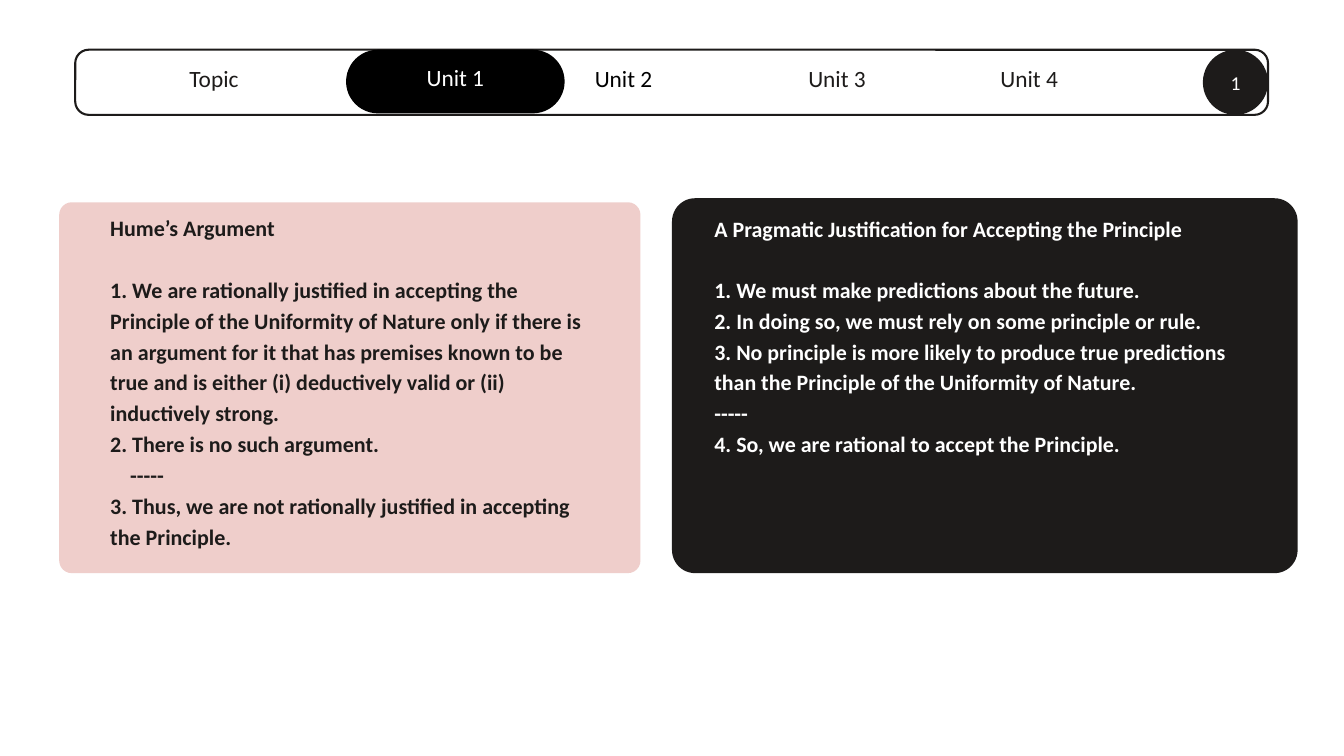
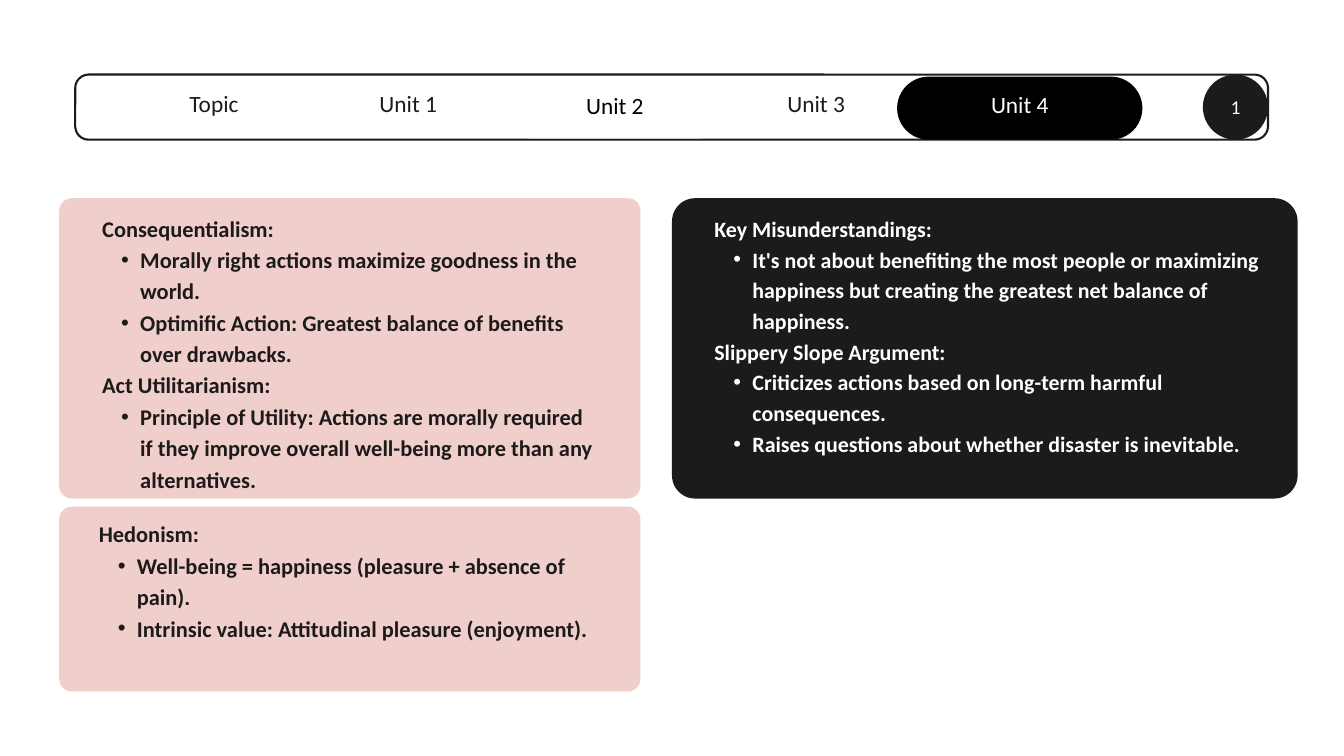
from typing import NamedTuple

from lxml.etree import SubElement
from pptx import Presentation
from pptx.dml.color import RGBColor
from pptx.enum.shapes import MSO_SHAPE
from pptx.enum.text import MSO_ANCHOR, PP_ALIGN
from pptx.oxml.ns import qn
from pptx.util import Pt

COLORS = {"ink": "1D1B1A", "black": "000000", "white": "FFFFFF", "pink": "EFCECB"}
FONT = "Calibri"
LINE_RATIO = 1.4
LABEL_RISE = 14.4  # tab labels sit in a box that starts this far above the pill


class Box(NamedTuple):
    left: float
    top: float
    width: float
    height: float

    def inside(self, left, top, width, height):
        """Box whose left and top are measured from this box's corner."""
        return Box(self.left + left, self.top + top, width, height)

    def points(self):
        return [Pt(value) for value in self]


class Tab(NamedTuple):
    label: str
    left: float
    top: float = 5.76
    width: float = 229.7
    height: float = 58.8
    fill: str = "white"
    color: str = "ink"


class CardStyle(NamedTuple):
    fill: str
    color: str
    radius: float


PINK_CARD = CardStyle("pink", "ink", 13.5)
DARK_CARD = CardStyle("ink", "white", 24.8)


def rgb(name):
    return RGBColor.from_string(COLORS[name])


def add_filled(page, kind, box, fill, radius=None, outline=None):
    shape = page.shapes.add_shape(kind, *box.points())
    shape.shadow.inherit = False
    shape.fill.solid()
    shape.fill.fore_color.rgb = rgb(fill)
    if radius is not None:
        shape.adjustments[0] = radius / min(box.width, box.height)
    if outline:
        shape.line.color.rgb = rgb(outline)
        shape.line.width = Pt(2.25)
    else:
        shape.line.fill.background()


def add_text_frame(page, box, inset=0):
    frame = page.shapes.add_textbox(*box.points()).text_frame
    frame.word_wrap = True
    frame.margin_left = frame.margin_right = Pt(inset)
    frame.margin_top = frame.margin_bottom = Pt(inset)
    return frame


def style_paragraph(para, size, color, bold=False):
    para.line_spacing = Pt(round(size * LINE_RATIO, 2))
    para.font.name = FONT
    para.font.size = Pt(size)
    para.font.bold = bold
    para.font.color.rgb = rgb(color)


def add_label(page, box, text, size, color, inset):
    frame = add_text_frame(page, box, inset)
    frame.vertical_anchor = MSO_ANCHOR.MIDDLE
    para = frame.paragraphs[0]
    para.text = text
    para.alignment = PP_ALIGN.CENTER
    style_paragraph(para, size, color)


def indent(para, left, first=0):
    properties = para._p.get_or_add_pPr()
    properties.set("marL", str(Pt(left)))
    properties.set("indent", str(Pt(first)))
    return properties


def make_bullet(para):
    para.level = 1
    properties = indent(para, 40.8, -20.4)
    SubElement(properties, qn("a:buFont"), typeface="Arial")
    SubElement(properties, qn("a:buChar"), char="•")


def add_navigation(page, box, tabs):
    """Outlined bar with one pill per tab and a numbered disc at its right end."""
    add_filled(page, MSO_SHAPE.ROUNDED_RECTANGLE, box, "white", 14.4, "ink")
    for tab in tabs:
        pill = box.inside(tab.left, tab.top, tab.width, tab.height)
        add_filled(page, MSO_SHAPE.ROUNDED_RECTANGLE, pill, tab.fill, tab.height / 2)
        label = pill.inside(0, -LABEL_RISE, tab.width, tab.height + LABEL_RISE)
        add_label(page, label, tab.label, 25, tab.color, 4.3)
    disc = box.inside(box.width - box.height, 0, box.height, box.height)
    add_filled(page, MSO_SHAPE.OVAL, disc, "ink")
    add_label(page, disc.inside(6.5, 2.2, 56.9, 61.2), "1", 21, "white", 5.8)


def add_card(page, box, style, text_area, size, lines):
    """Rounded card; each line is (kind, text) with kind title, plain, rule or bullet."""
    add_filled(page, MSO_SHAPE.ROUNDED_RECTANGLE, box, style.fill, style.radius)
    frame = add_text_frame(page, box.inside(*text_area))
    for index, (kind, text) in enumerate(lines):
        para = frame.add_paragraph() if index else frame.paragraphs[0]
        para.text = text
        if kind == "bullet":
            make_bullet(para)
        elif kind == "rule":
            indent(para, 21.4)
        elif kind == "title":
            para.space_after = Pt(size * LINE_RATIO)
        style_paragraph(para, size, style.color, bold=True)


def add_page(deck):
    page = deck.slides.add_slide(deck.slide_layouts[6])
    page.background.fill.solid()
    page.background.fill.fore_color.rgb = rgb("white")
    return page


def add_induction_slide(deck):
    page = add_page(deck)
    add_card(page, Box(63.4, 216.7, 622.8, 397.4), PINK_CARD, (54.7, 8.6, 521.3, 388.8), 23.6, [
        ("title", "Hume’s Argument"),
        ("plain", "1. We are rationally justified in accepting the Principle of the "
                  "Uniformity of Nature only if there is an argument for it that has "
                  "premises known to be true and is either (i) deductively valid or "
                  "(ii) inductively strong."),
        ("plain", "2. There is no such argument."),
        ("rule", "-----"),
        ("plain", "3. Thus, we are not rationally justified in accepting the Principle."),
    ])
    add_card(page, Box(720, 212.4, 670.3, 401.7), DARK_CARD, (45.4, 13.7, 593.3, 386.6), 23.5, [
        ("title", "A Pragmatic Justification for Accepting the Principle"),
        ("plain", "1. We must make predictions about the future."),
        ("plain", "2. In doing so, we must rely on some principle or rule."),
        ("plain", "3. No principle is more likely to produce true predictions than "
                  "the Principle of the Uniformity of Nature."),
        ("plain", "-----"),
        ("plain", "4. So, we are rational to accept the Principle."),
    ])
    add_navigation(page, Box(80.6, 53.3, 1278, 69.8), [
        Tab("Unit 3", 701.3),
        Tab("Unit 2", 479.5, 2.9, 216, 64.4, color="black"),
        Tab("Unit 1", 290.2, 0, 234.2, 68.2, "black", "white"),
        Tab("Topic", 33.8),
        Tab("Unit 4", 907.2),
    ])


def add_utilitarianism_slide(deck):
    page = add_page(deck)
    add_card(page, Box(63.4, 212.4, 622.8, 321.8), PINK_CARD, (46.1, 13, 529.9, 329), 24, [
        ("plain", "Consequentialism:"),
        ("bullet", "Morally right actions maximize goodness in the world."),
        ("bullet", "Optimific Action: Greatest balance of benefits over drawbacks."),
        ("plain", "Act Utilitarianism:"),
        ("bullet", "Principle of Utility: Actions are morally required if they improve "
                   "overall well-being more than any alternatives."),
    ])
    add_card(page, Box(63.4, 542.9, 622.8, 198), PINK_CARD, (42.5, 10.1, 529.9, 197.3), 24, [
        ("plain", "Hedonism:"),
        ("bullet", "Well-being = happiness (pleasure + absence of pain)."),
        ("bullet", "Intrinsic value: Attitudinal pleasure (enjoyment)."),
    ])
    add_card(page, Box(720, 212.4, 670.3, 321.8), DARK_CARD, (45.4, 13.7, 593.3, 321.8), 23.5, [
        ("plain", "Key Misunderstandings:"),
        ("bullet", "It's not about benefiting the most people or maximizing happiness "
                   "but creating the greatest net balance of happiness."),
        ("plain", "Slippery Slope Argument:"),
        ("bullet", "Criticizes actions based on long-term harmful consequences."),
        ("bullet", "Raises questions about whether disaster is inevitable."),
    ])
    add_navigation(page, Box(80.6, 79.9, 1278, 69.8), [
        Tab("Unit 3", 679),
        Tab("Unit 2", 457.2, width=241.9, height=62.6, color="black"),
        Tab("Unit 1", 241.9),
        Tab("Topic", 33.8),
        Tab("Unit 4", 880.6, 2.2, 262.8, 67.6, "black", "white"),
    ])


def main():
    deck = Presentation()
    deck.slide_width, deck.slide_height = Pt(1440), Pt(810)
    add_induction_slide(deck)
    add_utilitarianism_slide(deck)
    deck.save("out.pptx")


if __name__ == "__main__":
    main()
